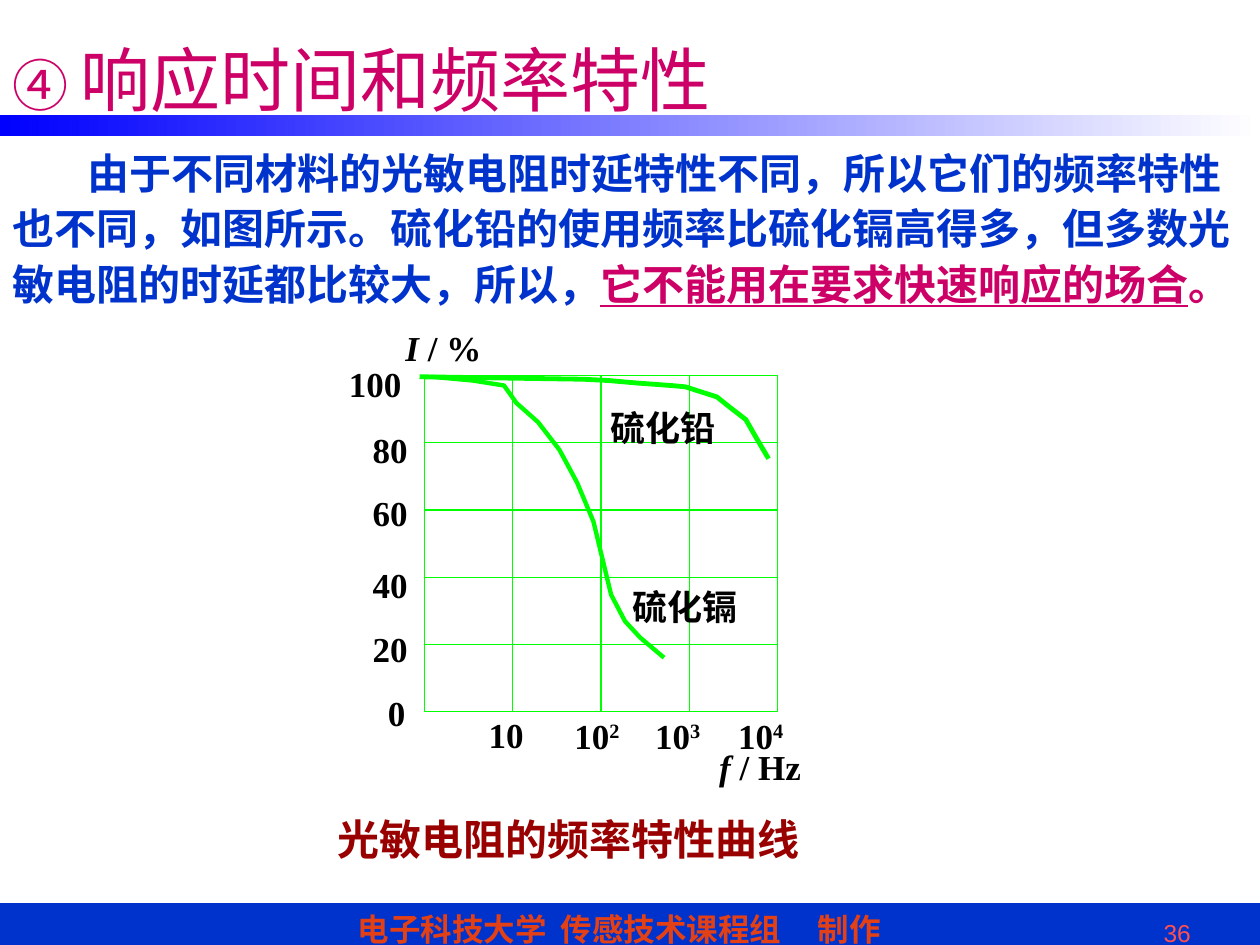
"""Build the slide on response time and frequency characteristics of photoresistors."""
import lxml.etree
import pptx
import pptx.dml.color
import pptx.enum.shapes
import pptx.enum.text
import pptx.oxml.ns
import pptx.util

Inches = pptx.util.Inches
Pt = pptx.util.Pt
ALIGN = pptx.enum.text.PP_ALIGN
ANCHOR = pptx.enum.text.MSO_ANCHOR
RECTANGLE = pptx.enum.shapes.MSO_SHAPE.RECTANGLE
STRAIGHT = pptx.enum.shapes.MSO_CONNECTOR.STRAIGHT
qn = pptx.oxml.ns.qn

COLORS = {
    "blue": "0033CC", "band": "0000FF", "white": "FFFFFF", "black": "000000",
    "footer": "E34115", "number": "FF5050", "magenta": "CC0066",
    "green": "00FF00", "caption": "990000",
}
SERIF = "Times New Roman"
CJK = "Noto Sans CJK SC"
GRID = {"left": 3.37, "top": 2.98, "width": 2.8, "height": 2.67, "columns": 4, "rows": 5}

AXIS_LABELS = [
    ((2.67, 2.83, 1.08, 0.61), [("100", {})]),
    ((2.86, 3.35, 0.56, 0.35), [("80", {})]),
    ((2.86, 3.85, 0.56, 0.37), [("60", {})]),
    ((2.86, 4.42, 0.56, 0.32), [("40", {})]),
    ((2.86, 4.93, 0.56, 0.35), [("20", {})]),
    ((2.98, 5.44, 0.43, 0.3), [("0", {})]),
    ((3.78, 5.61, 0.56, 0.3), [("10", {})]),
    ((4.46, 5.62, 0.73, 0.37), [("10", {}), ("2", {"baseline": 30})]),
    ((5.1, 5.62, 0.65, 0.37), [("10", {}), ("3", {"baseline": 30})]),
    ((5.76, 5.62, 0.66, 0.3), [("10", {}), ("4", {"baseline": 30})]),
    ((3.12, 2.54, 1.47, 0.52), [("I ", {"italic": True}), ("/ %", {})]),
    ((5.61, 5.87, 1.1, 0.38), [("f ", {"italic": True}), ("/ Hz", {})]),
    ((4.75, 3.18, 1.33, 0.39), [("硫化铅", {})]),
    ((4.92, 4.6, 1.33, 0.32), [("硫化镉", {})]),
]
LEAD_SULFIDE = [
    (3.33, 2.99), (4.63, 3.01), (4.83, 3.02), (5.06, 3.04), (5.33, 3.06), (5.44, 3.07),
    (5.69, 3.15), (5.79, 3.23), (5.92, 3.33), (6, 3.47), (6.1, 3.64),
]
CADMIUM_SULFIDE = [
    (3.42, 2.99), (3.75, 3.02), (4, 3.06), (4.1, 3.2), (4.27, 3.35), (4.44, 3.57),
    (4.58, 3.83), (4.71, 4.14), (4.85, 4.72), (4.96, 4.93), (5.08, 5.06), (5.27, 5.22),
]


def rgb(name):
    """Return the named colour."""
    return pptx.dml.color.RGBColor.from_string(COLORS[name])


def style_font(font, size, color="black", name=SERIF, bold=True, italic=False,
               underline=False, baseline=0):
    """Set the look of a font, with its East Asian face."""
    font.size = Pt(size)
    font.name = name
    font.bold = bold
    font.italic = italic
    font.underline = underline
    font.color.rgb = rgb(color)
    properties = font._rPr
    if baseline:
        properties.set("baseline", str(baseline * 1000))
    east_asian = lxml.etree.Element(qn("a:ea"), typeface=CJK)
    properties.find(qn("a:latin")).addnext(east_asian)


def write_text(shape, runs, align=ALIGN.LEFT, anchor=ANCHOR.TOP, spacing=None, **style):
    """Write one paragraph of styled runs and return it."""
    frame = shape.text_frame
    frame.word_wrap = True
    frame.vertical_anchor = anchor
    paragraph = frame.paragraphs[0]
    paragraph.alignment = align
    if spacing:
        paragraph.line_spacing = spacing
    for text, changes in runs:
        run = paragraph.add_run()
        run.text = text
        if len(runs) > 1:
            style_font(run.font, **{**style, **changes})
    if len(runs) == 1:
        style_font(paragraph.font, **{**style, **runs[0][1]})
    return paragraph


def add_text(slide, box, runs, **style):
    """Add a text box and return its paragraph."""
    return write_text(slide.shapes.add_textbox(*map(Inches, box)), runs, **style)


def add_rectangle(slide, box):
    """Add a rectangle without shadow."""
    shape = slide.shapes.add_shape(RECTANGLE, *map(Inches, box))
    shape.shadow.inherit = False
    return shape


def add_grid_line(slide, x1, y1, x2, y2):
    """Add a thin green line."""
    connector = slide.shapes.add_connector(STRAIGHT, *map(Inches, (x1, y1, x2, y2)))
    connector.line.color.rgb = rgb("green")
    connector.line.width = Pt(0.75)
    lxml.etree.SubElement(connector._element.spPr, qn("a:effectLst"))
    return connector


def add_grid(slide):
    """Add the plot frame with its evenly spaced grid lines."""
    left, top, width, height, columns, rows = GRID.values()
    frame = add_rectangle(slide, (left, top, width, height))
    frame.fill.background()
    frame.line.color.rgb = rgb("green")
    frame.line.width = Pt(0.75)
    for column in range(1, columns):
        x = left + width * column / columns
        line = add_grid_line(slide, x, top, x, top + height)
        if column * 2 == columns:
            line.begin_connect(frame, 0)
            line.end_connect(frame, 2)
    for row in range(1, rows):
        y = top + height * row / rows
        add_grid_line(slide, left, y, left + width, y)


def add_curve(slide, points, weight):
    """Add an open green curve through the points."""
    start, *others = [(Inches(x), Inches(y)) for x, y in points]
    builder = slide.shapes.build_freeform(*start)
    builder.add_line_segments(others, close=False)
    curve = builder.convert_to_shape()
    curve.shadow.inherit = False
    curve.fill.background()
    curve.line.color.rgb = rgb("green")
    curve.line.width = Pt(weight)


def add_footer(slide):
    """Add the footer bar with its credit and the page number."""
    bar = add_rectangle(slide, (0, 7.17, 10, 0.4))
    bar.fill.solid()
    bar.fill.fore_color.rgb = rgb("blue")
    bar.line.color.rgb = rgb("blue")
    bar.line.width = Pt(0.75)
    bar.text_frame.margin_left = Inches(2.84)
    properties = bar.text_frame.paragraphs[0]._p.get_or_add_pPr()
    tabs = lxml.etree.SubElement(properties, qn("a:tabLst"))
    for position in (1.61, 3.65):
        lxml.etree.SubElement(tabs, qn("a:tab"), pos=str(Inches(position)), algn="l")
    write_text(bar, [("电子科技大学\t传感技术课程组\t制作", {})],
               size=18, name="Arial", color="footer")
    add_text(slide, (7.05, 7.24, 2.5, 0.26), [("36", {})], align=ALIGN.RIGHT,
             size=14, name="Arial", color="number", bold=False)


def add_header(slide):
    """Add the gradient band and the title."""
    band = add_rectangle(slide, (0, 0.91, 10, 0.17))
    band.line.fill.background()
    band.fill.gradient()
    band.fill.gradient_angle = 0
    for stop, color in zip(band.fill.gradient_stops, ("band", "white")):
        stop.color.rgb = rgb(color)
    add_text(slide, (0, 0, 8.5, 1.25),
             [("④ ", {"size": 32, "name": "Arial"}), ("响应时间和频率特性", {})],
             anchor=ANCHOR.MIDDLE, size=40, name=CJK, color="magenta", bold=False)


def add_body(slide):
    """Add the explanation with its underlined conclusion."""
    paragraph = add_text(slide, (0, 1.08, 10, 1.86), [
        ("由于不同材料的光敏电阻时延特性不同，所以它们的频率特性也不同，如图所示。"
         "硫化铅的使用频率比硫化镉高得多，但多数光敏电阻的时延都比较大，所以，", {"color": "blue"}),
        ("它不能用在要求快速响应的场合", {"underline": True}),
        ("。", {}),
    ], spacing=1.1, size=24, color="magenta")
    paragraph._p.get_or_add_pPr().set("indent", str(Inches(0.6)))


def main():
    """Build and save the slide."""
    presentation = pptx.Presentation()
    presentation.slide_width = Inches(10)
    presentation.slide_height = Inches(7.5)
    slide = presentation.slides.add_slide(presentation.slide_layouts[6])
    add_footer(slide)
    add_header(slide)
    add_body(slide)
    add_grid(slide)
    for box, runs in AXIS_LABELS:
        add_text(slide, box, runs, align=ALIGN.JUSTIFY, size=20)
    add_curve(slide, LEAD_SULFIDE, 2.75)
    add_curve(slide, CADMIUM_SULFIDE, 2.5)
    add_text(slide, (2.58, 6.33, 4.25, 0.58), [("光敏电阻的频率特性曲线", {})],
             spacing=1.2, size=24, color="caption")
    presentation.save("out.pptx")


if __name__ == "__main__":
    main()
